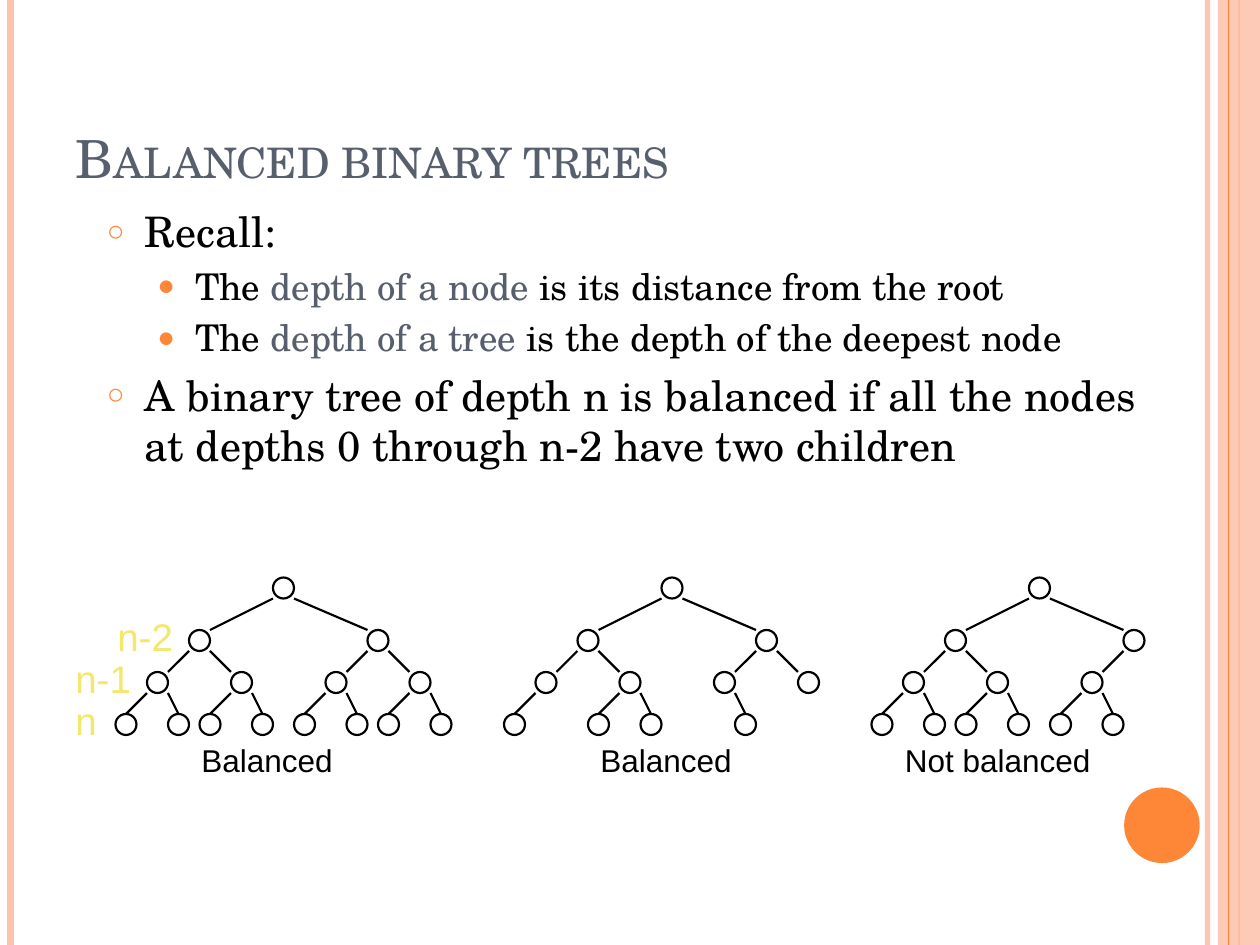
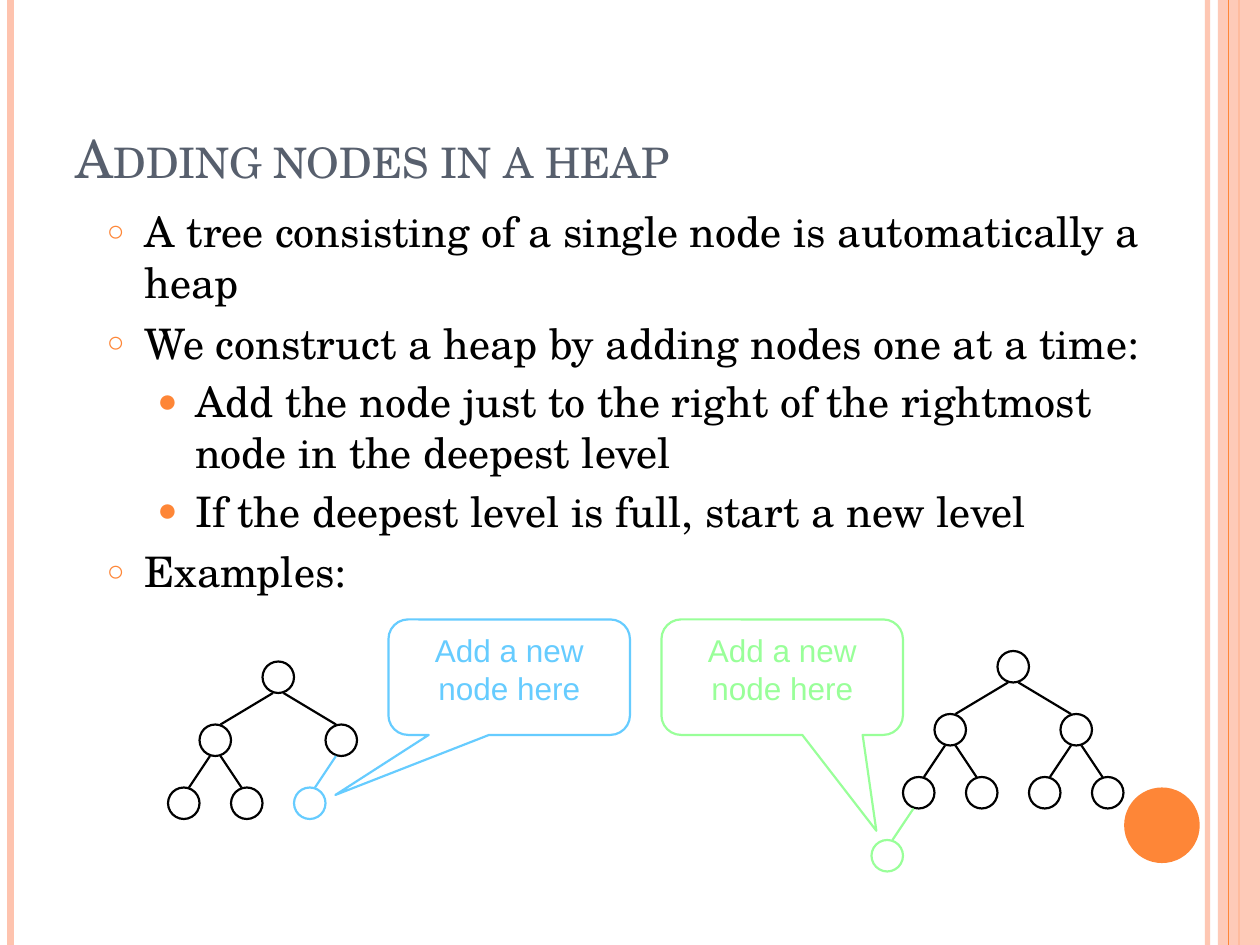
import dataclasses

import lxml.etree
import pptx
import pptx.dml.color
import pptx.enum.shapes
import pptx.enum.text
import pptx.oxml.ns
import pptx.util

Pt = pptx.util.Pt
SHAPES = pptx.enum.shapes.MSO_SHAPE
ALIGN = pptx.enum.text.PP_ALIGN
ANCHOR = pptx.enum.text.MSO_ANCHOR
SERIF = "TeX Gyre Schola"
SANS = "Arial"
UNIT = 6

COLOURS = {
    "orange": "FE8637",
    "peach": "FEC3AE",
    "slate": "575F6D",
    "black": "000000",
    "yellow": "F2E86D",
    "blue": "66CCFF",
    "green": "99FF99",
}
BULLETS = [("○", 70, 21.6), ("●", 80, 50.4)]


@dataclasses.dataclass
class TreeStyle:
    size: int
    offsets: tuple
    tops: tuple
    child_insets: tuple
    parent_inset: int


SMALL_TREE = TreeStyle(
    2,
    (0, -8, 9, -12, -4, 5, 13, -15, -10, -7, -2, 2, 7, 10, 15),
    (0, 5, 9, 13), (0, 0, 0, 1), 0)
HEAP_TREE = TreeStyle(
    3, (0, -6, 6, -9, -3, 3, 9, -12), (0, 6, 12, 18), (1, 1, 1, 1), 1)


def rgb(name):
    return pptx.dml.color.RGBColor.from_string(COLOURS[name])


def add_element(parent, tag, **attributes):
    element = lxml.etree.SubElement(parent, pptx.oxml.ns.qn(tag))
    for key, value in attributes.items():
        element.set(key, str(value))
    return element


def set_alpha(shape, percent):
    colour = next(shape.element.iter(pptx.oxml.ns.qn("a:srgbClr")))
    add_element(colour, "a:alpha", val=percent * 1000)


def set_font(font, name, size, colour):
    font.name = name
    font.size = Pt(size)
    font.color.rgb = rgb(colour)


def add_line(page, start, end, colour, width):
    line = page.shapes.add_connector(
        pptx.enum.shapes.MSO_CONNECTOR.STRAIGHT,
        *(Pt(value) for value in (*start, *end)))
    line.line.color.rgb = rgb(colour)
    line.line.width = Pt(width)
    add_element(line.element.spPr, "a:effectLst")
    return line


def add_filled(page, kind, place, colour):
    shape = page.shapes.add_shape(kind, *map(Pt, place))
    shape.shadow.inherit = False
    shape.fill.solid()
    shape.fill.fore_color.rgb = rgb(colour)
    shape.line.fill.background()
    return shape


def add_outlined(page, kind, place, colour):
    shape = page.shapes.add_shape(kind, *map(Pt, place))
    shape.shadow.inherit = False
    shape.fill.background()
    shape.line.color.rgb = rgb(colour)
    shape.line.width = Pt(1.25)
    return shape


def add_label(page, place, text, size, colour):
    box = page.shapes.add_textbox(*map(Pt, place))
    box.text_frame.word_wrap = True
    para = box.text_frame.paragraphs[0]
    para.text = text
    set_font(para.font, SANS, size, colour)


def add_callout(page, left, colour, adjustments):
    callout = add_outlined(page, SHAPES.ROUNDED_RECTANGULAR_CALLOUT,
                           (left, 354, 138, 66), colour)
    for index, value in enumerate(adjustments):
        callout.adjustments[index] = value
    frame = callout.text_frame
    frame.word_wrap = True
    frame.vertical_anchor = ANCHOR.TOP
    para = frame.paragraphs[0]
    para.text = "Add a new node here"
    para.alignment = ALIGN.CENTER
    set_font(para.font, SANS, 18, colour)


def add_bullet(para, level):
    symbol, percent, indent = BULLETS[level]
    para.level = level
    properties = para._p.get_or_add_pPr()
    properties.set("marL", str(Pt(indent)))
    properties.set("indent", str(-Pt(21.6)))
    colour = add_element(properties, "a:buClr")
    add_element(colour, "a:srgbClr", val=COLOURS["orange"])
    add_element(properties, "a:buSzPct", val=percent * 1000)
    add_element(properties, "a:buFont", typeface=SANS)
    add_element(properties, "a:buChar", char=symbol)


def add_body(page, place, items):
    box = page.shapes.add_textbox(*map(Pt, place))
    frame = box.text_frame
    frame.word_wrap = True
    for index, (level, size, spans) in enumerate(items):
        para = frame.paragraphs[0] if index == 0 else frame.add_paragraph()
        if index:
            para.space_before = Pt(size * 0.2 if level else 6)
        add_bullet(para, level)
        set_font(para.font, SERIF, size, "black")
        for position, text in enumerate(spans):
            span = para.add_run()
            span.text = text
            if position % 2:
                span.font.color.rgb = rgb("slate")


def add_tree(page, style, root_left, root_top, nodes, colour="black"):
    size = style.size

    def locate(node):
        level = (node + 1).bit_length() - 1
        return (root_left + style.offsets[node],
                root_top + style.tops[level], level)

    for node in nodes:
        left, top, level = locate(node)
        add_outlined(page, SHAPES.OVAL,
                     [UNIT * value for value in (left, top, size, size)], colour)
        if node == 0:
            continue
        parent_left, parent_top, _ = locate((node - 1) // 2)
        child_inset = style.child_insets[level]
        if node % 2:
            child_x = left + size - child_inset
            parent_x = parent_left + style.parent_inset
        else:
            child_x = left + child_inset
            parent_x = parent_left + size - style.parent_inset
        add_line(page, (UNIT * child_x, UNIT * top),
                 (UNIT * parent_x, UNIT * (parent_top + size)), colour, 1.25)


def add_page(deck, title):
    page = deck.slides.add_slide(deck.slide_layouts[5])
    holder = page.shapes.title
    holder.left, holder.top, holder.width, holder.height = map(
        Pt, (36, 21.6, 588, 90))
    holder.text_frame.vertical_anchor = ANCHOR.BOTTOM
    para = holder.text_frame.paragraphs[0]
    para.alignment = ALIGN.LEFT
    set_font(para.font, SERIF, 30, "slate")
    span = para.add_run()
    span.text = title
    span._r.get_or_add_rPr().set("cap", "small")
    return page


def move_frame_to_layout(page):
    layout = page.slide_layout
    for holder in list(layout.placeholders):
        if holder.placeholder_format.idx:
            layout.shapes.element.remove(holder.element)

    def add_stripe(x, colour, width):
        return add_line(page, (x, 0), (x, 540), colour, width)

    inner = add_stripe(690, "peach", 3)
    set_alpha(inner, 93)
    left = add_stripe(6, "peach", 4.5)
    right = add_stripe(708, "orange", 1.5)
    band = add_filled(page, SHAPES.RECTANGLE, (696, 0, 24, 540), "peach")
    set_alpha(band, 87)
    thin = add_stripe(702, "orange", 0.75)
    disc = add_filled(page, SHAPES.OVAL, (642.4, 450, 43.2, 43.2), "orange")
    for shape in (inner, left, right, band, thin, disc):
        layout.shapes.element.append(shape.element)


def build_balanced_page(deck):
    page = add_page(deck, "Balanced binary trees")
    move_frame_to_layout(page)
    add_body(page, (54, 114, 612, 192), [
        (0, 24, ["Recall:"]),
        (1, 21, ["The ", "depth of a node", " is its distance from the root"]),
        (1, 21, ["The ", "depth of a tree",
                 " is the depth of the deepest node"]),
        (0, 24, ["A binary tree of depth n is balanced if all the nodes "
                 "at depths 0 through n-2 have two children"]),
    ])
    trees = [
        (26, range(15), "Balanced", 108, 108),
        (63, (0, 1, 2, 3, 4, 5, 6, 7, 9, 10, 12), "Balanced", 336, 114),
        (98, (0, 1, 2, 3, 4, 5, 7, 8, 9, 10, 11, 12), "Not balanced", 510, 150),
    ]
    for root_left, nodes, verdict, label_left, label_width in trees:
        add_tree(page, SMALL_TREE, root_left, 55, nodes)
        add_label(page, (label_left, 420, label_width, 36), verdict, 18, "black")
    depths = [("n-2", 60), ("n-1", 36), ("n", 36)]
    for row, (depth, left) in enumerate(depths):
        add_label(page, (left, 347 + 24 * row, 54, 34), depth, 22, "yellow")


def build_heap_page(deck):
    page = add_page(deck, "Adding nodes in a heap")
    add_body(page, (54, 114, 618, 276), [
        (0, 24, ["A tree consisting of a single node is automatically a heap"]),
        (0, 24, ["We construct a heap by adding nodes one at a time:"]),
        (1, 24, ["Add the node just to the right of the rightmost node "
                 "in the deepest level"]),
        (1, 24, ["If the deepest level is full, start a new level"]),
        (0, 24, ["Examples:"]),
    ])
    examples = [
        (95, 62, 7, "green", 378, (0.39, 1.33, 0.17)),
        (25, 63, 5, "blue", 222, (-0.72, 1.02, 0.17)),
    ]
    for root_left, root_top, count, colour, callout_left, pointer in examples:
        add_tree(page, HEAP_TREE, root_left, root_top, range(count))
        add_tree(page, HEAP_TREE, root_left, root_top, [count], colour)
        add_callout(page, callout_left, colour, pointer)


def main():
    deck = pptx.Presentation()
    deck.slide_width = Pt(720)
    deck.slide_height = Pt(540)
    build_balanced_page(deck)
    build_heap_page(deck)
    deck.save("out.pptx")


if __name__ == "__main__":
    main()
